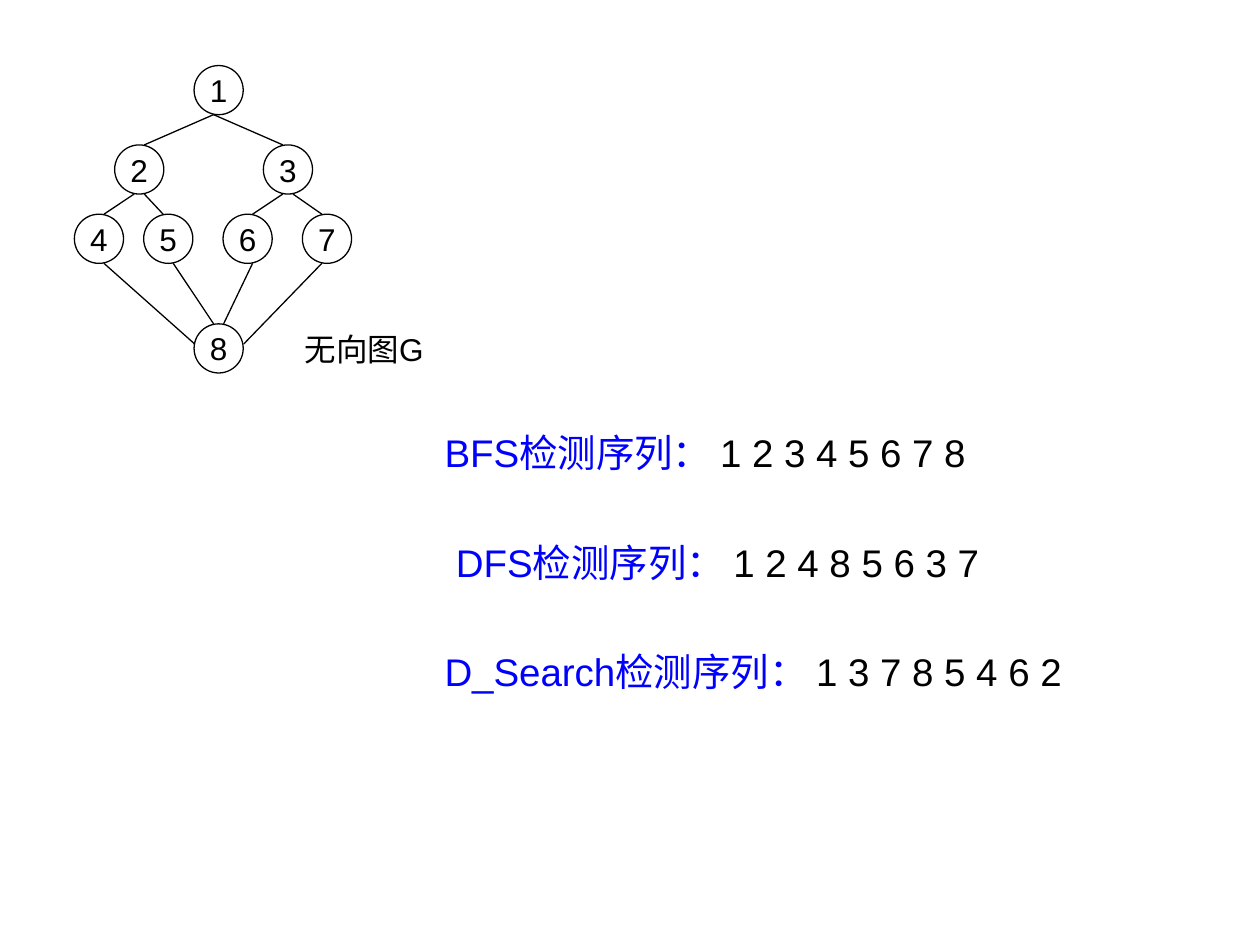
from lxml.etree import SubElement
from pptx import Presentation
from pptx.dml.color import RGBColor
from pptx.enum.shapes import MSO_CONNECTOR, MSO_SHAPE
from pptx.enum.text import MSO_ANCHOR, PP_ALIGN
from pptx.oxml.ns import qn
from pptx.util import Inches, Pt

BLACK = RGBColor(0, 0, 0)
BLUE = RGBColor(0, 0, 255)
WHITE = RGBColor(255, 255, 255)

NODE_SIZE = 0.39
# Top left corner of each node, in inches from the corner of the graph
NODES = {
    1: (0.95, 0), 2: (0.32, 0.63), 3: (1.5, 0.63), 4: (0, 1.18),
    5: (0.55, 1.18), 6: (1.18, 1.18), 7: (1.81, 1.18), 8: (0.95, 2.05),
}
# Upper node, its shift from centre, lower node, its shift, drop below its top
EDGES = [
    (1, -0.04, 2, 0.04, 0), (1, -0.04, 3, -0.04, 0),
    (2, -0.04, 4, 0.04, 0), (2, 0.04, 5, -0.04, 0),
    (3, -0.04, 6, 0.04, 0), (3, 0.04, 7, -0.04, 0),
    (4, 0.04, 8, -0.19, 0.16), (5, 0.04, 8, -0.04, 0),
    (6, 0.04, 8, 0.04, 0), (7, -0.04, 8, 0.2, 0.16),
]
SEQUENCES = [
    ("BFS检测序列： ", "1 2 3 4 5 6 7 8", 0),
    ("DFS检测序列： ", "1 2 4 8 5 6 3 7", 0.09),
    ("D_Search检测序列： ", "1 3 7 8 5 4 6 2", 0),
]


def style_font(font, size, color):
    font.name = "Arial"
    font.size = Pt(size)
    font.color.rgb = color


def add_node(page, number, left, top):
    node = page.shapes.add_shape(MSO_SHAPE.OVAL, Inches(left), Inches(top),
                                 Inches(NODE_SIZE), Inches(NODE_SIZE))
    node.shadow.inherit = False
    node.fill.background()
    node.line.color.rgb = BLACK
    node.line.width = Pt(0.75)
    frame = node.text_frame
    frame.text = str(number)
    frame.word_wrap = False
    frame.vertical_anchor = MSO_ANCHOR.MIDDLE
    para = frame.paragraphs[0]
    para.alignment = PP_ALIGN.CENTER
    style_font(para.runs[0].font, 18, BLACK)


def add_edge(page, *ends):
    edge = page.shapes.add_connector(MSO_CONNECTOR.STRAIGHT,
                                     *(Inches(end) for end in ends))
    edge.line.color.rgb = BLACK
    edge.line.width = Pt(0.75)
    SubElement(edge._element.spPr, qn("a:effectLst"))


def add_graph(page, left, top):
    for number, (x, y) in NODES.items():
        add_node(page, number, left + x, top + y)
    middle = left + NODE_SIZE / 2
    for upper, upper_shift, lower, lower_shift, drop in EDGES:
        upper_x, upper_y = NODES[upper]
        lower_x, lower_y = NODES[lower]
        add_edge(page, middle + upper_x + upper_shift, top + upper_y + NODE_SIZE,
                 middle + lower_x + lower_shift, top + lower_y + drop)


def add_graph_label(page, left, top, width, height):
    label = page.shapes.add_textbox(Inches(left), Inches(top),
                                    Inches(width), Inches(height))
    label.text_frame.text = "无向图G"
    label.text_frame.word_wrap = True
    style_font(label.text_frame.paragraphs[0].runs[0].font, 18, BLACK)


def add_sequences(page, left, top, width, height):
    box = page.shapes.add_shape(MSO_SHAPE.RECTANGLE, Inches(left), Inches(top),
                                Inches(width), Inches(height))
    box.shadow.inherit = False
    box.fill.solid()
    box.fill.fore_color.rgb = WHITE
    box.line.fill.background()
    frame = box.text_frame
    frame.word_wrap = True
    frame.vertical_anchor = MSO_ANCHOR.TOP
    for index, (title, order, indent) in enumerate(SEQUENCES):
        para = frame.add_paragraph() if index else frame.paragraphs[0]
        para.alignment = PP_ALIGN.LEFT
        if index:
            para.space_before = Pt(36)
        if indent:
            para._p.get_or_add_pPr().set("marL", str(Inches(indent)))
        for text, color in ((title, BLUE), (order, BLACK)):
            span = para.add_run()
            span.text = text
            style_font(span.font, 22, color)


def main():
    deck = Presentation()
    deck.slide_width = Inches(10)
    deck.slide_height = Inches(7.5)
    page = deck.slides.add_slide(deck.slide_layouts[6])
    add_sequences(page, 3.43, 3.36, 5.83, 2.63)
    add_graph(page, 0.59, 0.52)
    add_graph_label(page, 2.32, 2.57, 1.34, 0.4)
    deck.save("out.pptx")


if __name__ == "__main__":
    main()
